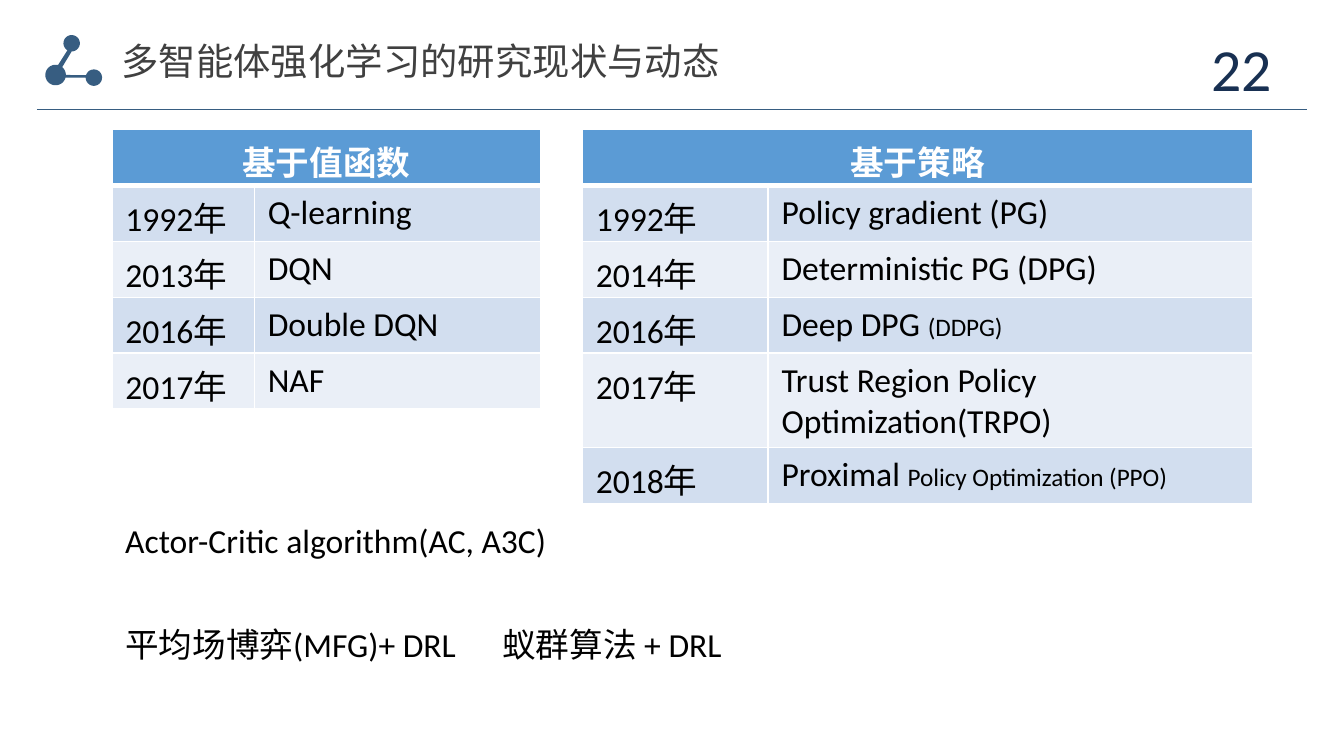
from dataclasses import dataclass
from math import cos, radians, sin

from lxml import etree
from pptx import Presentation
from pptx.dml.color import RGBColor
from pptx.enum.shapes import MSO_CONNECTOR
from pptx.enum.text import MSO_ANCHOR, MSO_AUTO_SIZE, PP_ALIGN
from pptx.oxml.ns import qn
from pptx.util import Pt

STRAIGHT = MSO_CONNECTOR.STRAIGHT
TOP, MIDDLE = MSO_ANCHOR.TOP, MSO_ANCHOR.MIDDLE
LEFT, CENTER, RIGHT = PP_ALIGN.LEFT, PP_ALIGN.CENTER, PP_ALIGN.RIGHT
NO_FIT = MSO_AUTO_SIZE.NONE


@dataclass(frozen=True)
class Theme:
    accent: str = "375D81"
    number: str = "183052"
    title: str = "404040"
    text: str = "000000"
    white: str = "FFFFFF"
    header: str = "5B9BD5"
    bands: tuple = ("D2DEEF", "EAEFF7")
    latin: str = "Calibri"
    cjk: str = "Noto Sans CJK SC"
    number_size: float = 32
    title_size: float = 20
    body_size: float = 18
    small_size: float = 13.5


class Deck:
    def __init__(self, theme):
        self.theme = theme
        self.prs = Presentation()
        self.prs.slide_width, self.prs.slide_height = Pt(720), Pt(405)
        self.s = self.prs.slides.add_slide(self.prs.slide_layouts[5])

    def style(self, r, size, color, bold=False, font=None):
        r.font.name = font or self.theme.latin
        r.font.size = Pt(size)
        r.font.bold = bold
        r.font.color.rgb = RGBColor.from_string(color)
        ea = etree.SubElement(r.font._element, qn("a:ea"))
        ea.set("typeface", self.theme.cjk)

    def title(self, text, x, y, w, h):
        sp = self.s.shapes.title
        sp.left, sp.top, sp.width, sp.height = Pt(x), Pt(y), Pt(w), Pt(h)
        tf = sp.text_frame
        tf.text = text
        tf.word_wrap = True
        tf.auto_size = NO_FIT
        tf.vertical_anchor = TOP
        tf.margin_left = tf.margin_right = Pt(5)
        tf.margin_top = tf.margin_bottom = Pt(3)
        p = tf.paragraphs[0]
        p.alignment = LEFT
        self.style(p.runs[0], self.theme.title_size, self.theme.title, font=self.theme.cjk)

    def text(self, text, x, y, w, h, size=None, color=None, align=LEFT, anchor=TOP, tab=None):
        tf = self.s.shapes.add_textbox(Pt(x), Pt(y), Pt(w), Pt(h)).text_frame
        tf.text = text
        tf.word_wrap = True
        tf.vertical_anchor = anchor
        p = tf.paragraphs[0]
        p.alignment = align
        if tab:
            tabs = etree.SubElement(p._p.get_or_add_pPr(), qn("a:tabLst"))
            etree.SubElement(tabs, qn("a:tab"), pos=str(Pt(tab)), algn="l")
        for r in p.runs:
            self.style(r, size or self.theme.body_size, color or self.theme.text)

    def line(self, x1, y1, x2, y2):
        c = self.s.shapes.add_connector(STRAIGHT, Pt(x1), Pt(y1), Pt(x2), Pt(y2))
        c.line.color.rgb = RGBColor.from_string(self.theme.accent)
        c.line.width = Pt(0.5)
        etree.SubElement(c._element.spPr, qn("a:effectLst"))

    def node_icon(self, arcs, steps=24):
        points = []
        for cx, cy, radius, start, end in arcs:
            for i in range(steps + 1):
                a = radians(start + (end - start) * i / steps)
                points.append((Pt(cx + radius * cos(a)), Pt(cy + radius * sin(a))))
        builder = self.s.shapes.build_freeform(*points[0])
        builder.add_line_segments(points[1:], close=True)
        sp = builder.convert_to_shape()
        sp.shadow.inherit = False
        sp.fill.solid()
        sp.fill.fore_color.rgb = RGBColor.from_string(self.theme.accent)
        sp.line.fill.background()

    def borders(self, cell, top, bottom):
        tc_pr = cell._tc.get_or_add_tcPr()
        for side, width in (("L", 1), ("R", 1), ("T", top), ("B", bottom)):
            ln = etree.SubElement(tc_pr, qn("a:ln" + side), w=str(Pt(width)))
            fill = etree.SubElement(ln, qn("a:solidFill"))
            etree.SubElement(fill, qn("a:srgbClr"), val=self.theme.white)

    def cell(self, cell, parts, fill, color, top, bottom, bold=False, align=LEFT):
        self.borders(cell, top, bottom)
        cell.fill.solid()
        cell.fill.fore_color.rgb = RGBColor.from_string(fill)
        p = cell.text_frame.paragraphs[0]
        p.alignment = align
        for part, size in zip(parts, (self.theme.body_size, self.theme.small_size)):
            r = p.add_run()
            r.text = part
            self.style(r, size, color, bold)

    def table(self, heading, rows, x, y, widths, row_height):
        count = len(rows) + 1
        frame = self.s.shapes.add_table(
            count, len(widths), Pt(x), Pt(y), Pt(sum(widths)), Pt(row_height * count))
        table = frame.table
        table.horz_banding = False
        for column, width in zip(table.columns, widths):
            column.width = Pt(width)
        for row in table.rows:
            row.height = Pt(row_height)
        table.cell(0, 0).merge(table.cell(0, len(widths) - 1))
        for j, parts in enumerate([(heading,), ()]):
            self.cell(table.cell(0, j), parts, self.theme.header, self.theme.white,
                      1, 3, bold=True, align=CENTER)
        for i, (year, *method) in enumerate(rows, 1):
            for j, parts in enumerate([(year + "年",), method]):
                self.cell(table.cell(i, j), parts, self.theme.bands[(i - 1) % 2],
                          self.theme.text, 3 if i == 1 else 1, 1)


def main():
    theme = Theme()
    deck = Deck(theme)
    deck.node_icon([
        (38.4, 23.2, 4.4, 121, 450),
        (29.8, 40.2, 5.5, -50, 0),
        (50.3, 41.6, 4.4, 198, 540),
        (29.8, 40.2, 5.5, 15, 284),
    ])
    deck.line(19.8, 58.5, 700.2, 58.5)
    deck.text("22", 526.3, 25.2, 162, 21.6, theme.number_size, theme.number, RIGHT, MIDDLE)
    deck.title("多智能体强化学习的研究现状与动态", 60, 17.3, 377, 29.5)
    deck.table("基于值函数", [
        ("1992", "Q-learning"),
        ("2013", "DQN"),
        ("2016", "Double DQN"),
        ("2017", "NAF"),
    ], 60, 69.3, (76.3, 153.4), 30)
    deck.table("基于策略", [
        ("1992", "Policy gradient (PG)"),
        ("2014", "Deterministic PG (DPG)"),
        ("2016", "Deep DPG ", "(DDPG)"),
        ("2017", "Trust Region Policy Optimization(TRPO)"),
        ("2018", "Proximal ", "Policy Optimization (PPO)"),
    ], 312, 69.3, (99.5, 259.5), 30)
    deck.text("平均场博弈(MFG)+ DRL\t蚁群算法 + DRL", 60, 330.5, 680, 29, tab=202)
    deck.text("Actor-Critic algorithm(AC, A3C)", 60, 275, 526, 29)
    deck.prs.save("out.pptx")


if __name__ == "__main__":
    main()
